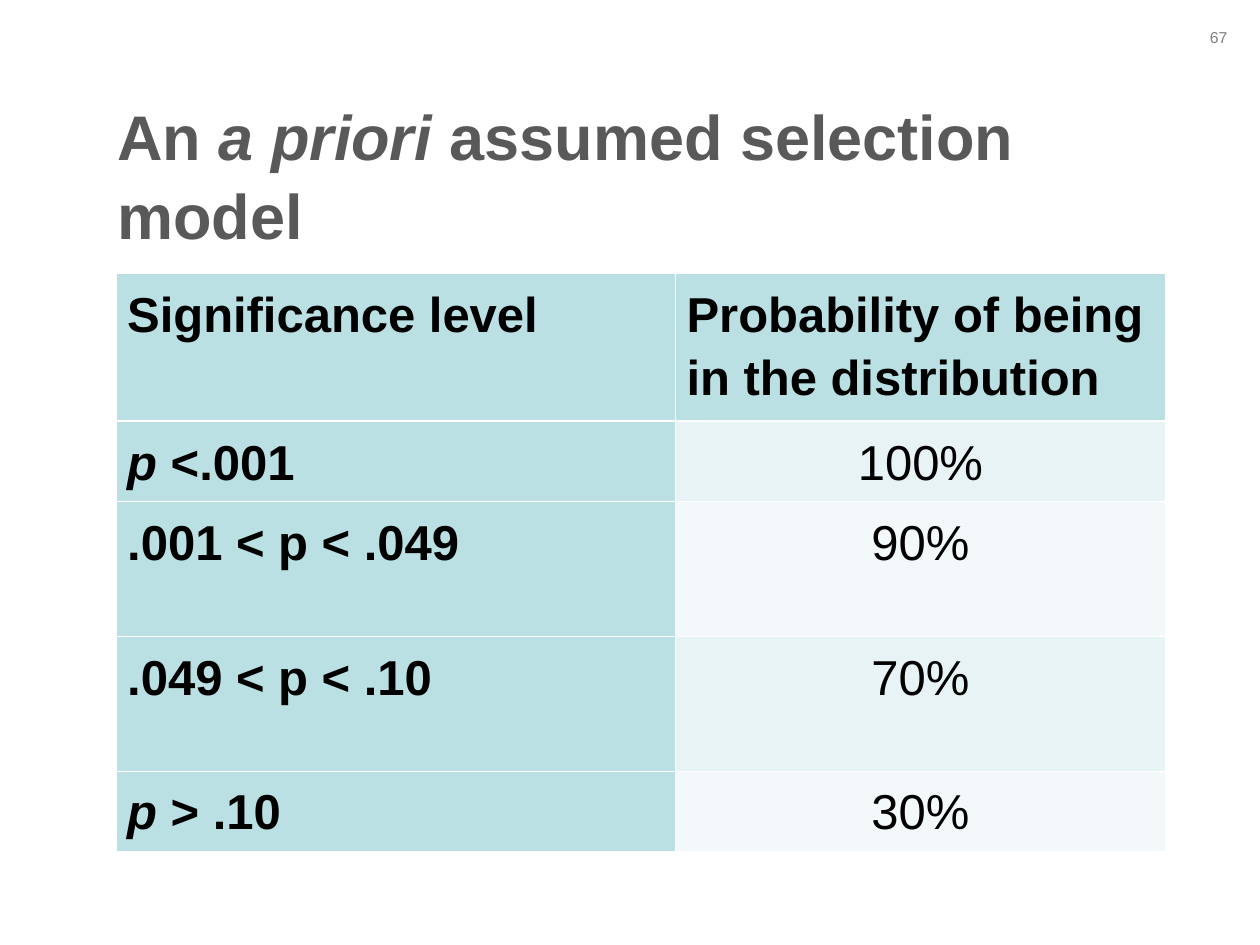
"""Build a slide with a table of selection probabilities by significance level."""
from lxml import etree
from pptx import Presentation
from pptx.dml.color import RGBColor
from pptx.enum.text import MSO_ANCHOR, MSO_AUTO_SIZE, PP_ALIGN
from pptx.oxml.ns import qn
from pptx.util import Inches, Pt

LEFT, CENTER, RIGHT = PP_ALIGN.LEFT, PP_ALIGN.CENTER, PP_ALIGN.RIGHT
MIDDLE, NO_AUTOFIT = MSO_ANCHOR.MIDDLE, MSO_AUTO_SIZE.NONE
BLACK = RGBColor(0x00, 0x00, 0x00)
WHITE = RGBColor(0xFF, 0xFF, 0xFF)
TITLE_GRAY = RGBColor(0x59, 0x59, 0x59)
NUMBER_GRAY = RGBColor(0x80, 0x80, 0x80)
TEAL = RGBColor(0xBB, 0xE0, 0xE3)
BANDS = [RGBColor(0xF3, 0xF9, 0xFA), RGBColor(0xE7, 0xF3, 0xF4)]
THIN, THICK = Pt(0.45), Pt(1.47)


def write(paragraph, pieces, size, color, bold, align):
    """Fill a paragraph with (text, italic) pieces in one font."""
    for text, italic in pieces:
        run = paragraph.add_run()
        run.text = text
        if italic:
            run.font.italic = True
    paragraph.alignment = align
    paragraph.font.name = "Arial"
    paragraph.font.size = Pt(size)
    paragraph.font.bold = bold
    paragraph.font.color.rgb = color


def add_border(cell, side, width):
    """Draw one white border of a cell."""
    line = etree.SubElement(cell._tc.get_or_add_tcPr(), qn(f"a:ln{side}"), w=str(width))
    fill = etree.SubElement(line, qn("a:solidFill"))
    etree.SubElement(fill, qn("a:srgbClr"), val=str(WHITE))


prs = Presentation()
prs.slide_width, prs.slide_height = Inches(10), Inches(7.5)
slide = prs.slides.add_slide(prs.slide_layouts[5])

page_number = slide.shapes.add_textbox(Inches(9.17), Inches(0.17), Inches(0.67), Inches(0.25))
page_number.text_frame.word_wrap = True
write(page_number.text_frame.paragraphs[0], [("67", False)], 9, NUMBER_GRAY, False, RIGHT)

title = slide.shapes.title
title.left, title.top = Inches(0.83), Inches(0.75)
title.width, title.height = Inches(8.42), Inches(1.25)
title.text_frame.auto_size = NO_AUTOFIT
title.text_frame.vertical_anchor = MIDDLE
heading = title.text_frame.paragraphs[0]
heading.line_spacing = 1.05
write(heading, [("An ", False), ("a priori ", True), ("assumed selection model", False)],
      36, TITLE_GRAY, True, LEFT)

rows = [
    (1.07, [("Significance level", False)], "Probability of being in the distribution"),
    (0.54, [("p", True), (" <.001", False)], "100%"),
    (1.07, [(".001 < p < .049", False)], "90%"),
    (1.07, [(".049 < p < .10", False)], "70%"),
    (0.54, [("p", True), (" > .10", False)], "30%"),
]
probabilities = slide.shapes.add_table(
    len(rows), 2, Inches(0.92), Inches(2.17), Inches(8.33), Inches(4.29)).table
for column, width in zip(probabilities.columns, (4.44, 3.89)):
    column.width = Inches(width)

for r, (height, level, probability) in enumerate(rows):
    probabilities.rows[r].height = Inches(height)
    for c, pieces in enumerate((level, [(probability, False)])):
        cell = probabilities.cell(r, c)
        is_label = r == 0 or c == 0
        cell.margin_left = cell.margin_right = Inches(0.09)
        cell.margin_top = cell.margin_bottom = Inches(0.05)
        add_border(cell, "L", THIN)
        add_border(cell, "R", THIN)
        add_border(cell, "T", THICK if r == 1 else THIN)
        add_border(cell, "B", THICK if r == 0 else THIN)
        cell.fill.solid()
        cell.fill.fore_color.rgb = TEAL if is_label else BANDS[r % 2]
        entry = cell.text_frame.paragraphs[0]
        entry.line_spacing = 1.15
        write(entry, pieces, 28, BLACK, is_label, LEFT if is_label else CENTER)

prs.save("out.pptx")
